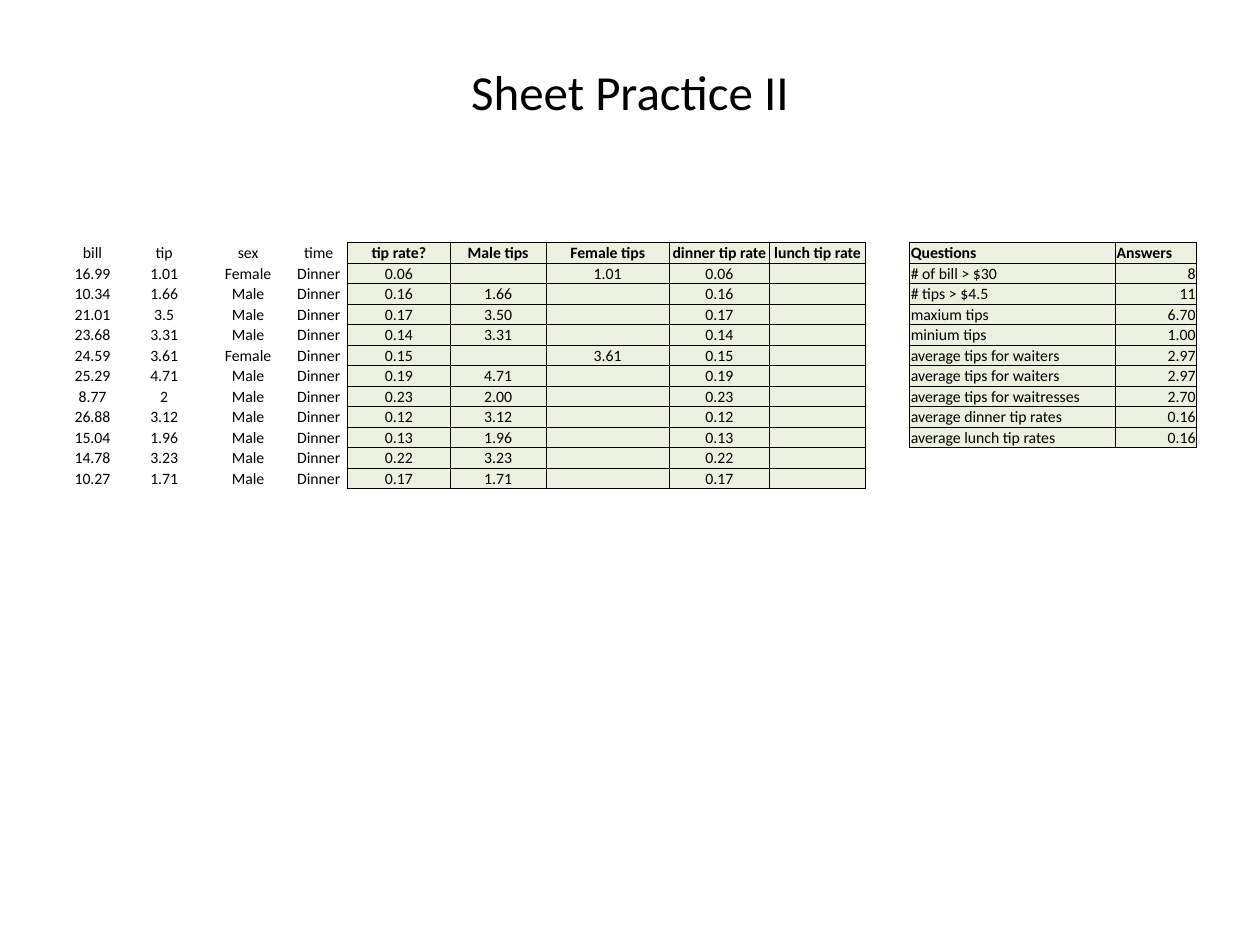
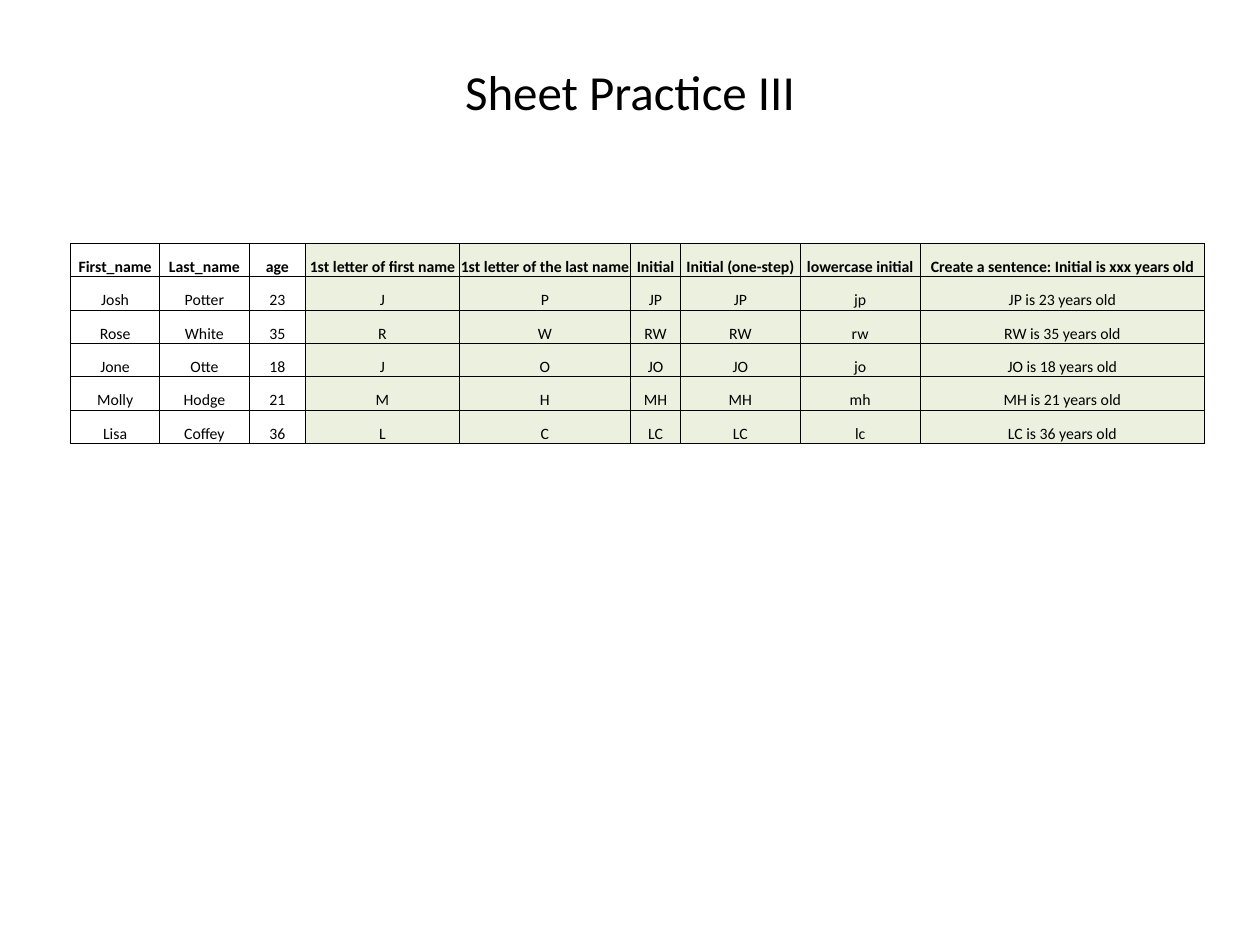
from lxml.etree import SubElement
from pptx import Presentation
from pptx.dml.color import RGBColor
from pptx.enum.text import MSO_ANCHOR as Anchor, PP_ALIGN as Align
from pptx.oxml.ns import qn
from pptx.util import Cm, Pt

FONT = "Calibri"
BLACK, GREEN = "000000", "EBF1DE"
TITLE_BOX = (1.27, 0.76, 22.86, 2.16)
CELL_SIZE = 9
LINE_WIDTH = Pt(0.5)
INSET = Cm(0.02)
# Cell side: (row step, column step) to the neighbour on that side
SIDES = {"L": (0, -1), "R": (0, 1), "T": (-1, 0), "B": (1, 0)}

BILLS = [
    ("16.99", "1.01", "Female"), ("10.34", "1.66", "Male"),
    ("21.01", "3.5", "Male"), ("23.68", "3.31", "Male"),
    ("24.59", "3.61", "Female"), ("25.29", "4.71", "Male"),
    ("8.77", "2", "Male"), ("26.88", "3.12", "Male"),
    ("15.04", "1.96", "Male"), ("14.78", "3.23", "Male"),
    ("10.27", "1.71", "Male"),
]
BILL_HEADER = ("bill", "tip", "sex", "time", "tip rate?", "Male tips",
               "Female tips", "dinner tip rate", "lunch tip rate")
ANSWERS = [
    ("Questions", "Answers"), ("# of bill > $30", "8"),
    ("# tips > $4.5", "11"), ("maxium tips", "6.70"),
    ("minium tips", "1.00"), ("average tips for waiters", "2.97"),
    ("average tips for waiters", "2.97"),
    ("average tips for waitresses", "2.70"),
    ("average dinner tip rates", "0.16"), ("average lunch tip rates", "0.16"),
]
BILL_WIDTHS = (1.19, 1.7, 1.68, 1.17, 2.06, 1.94, 2.48, 2.02, 1.94,
               0.89, 4.15, 1.63)

PEOPLE = [("Josh", "Potter", 23), ("Rose", "White", 35), ("Jone", "Otte", 18),
          ("Molly", "Hodge", 21), ("Lisa", "Coffey", 36)]
PEOPLE_HEADER = ("First_name", "Last_name", "age", "1st letter of first name",
                 "1st letter of the last name", "Initial",
                 "Initial (one-step)", "lowercase initial",
                 "Create a sentence: Initial is xxx years old")
PEOPLE_WIDTHS = (1.8, 1.8, 1.14, 3.1, 3.45, 1.01, 2.41, 2.42, 5.73)


def color(value):
    return RGBColor.from_string(value)


def write(para, text, size, bold=False):
    span = para.add_run()
    span.text = text
    span.font.name = FONT
    span.font.size = Pt(size)
    span.font.bold = bold
    span.font.color.rgb = color(BLACK)


def add_page(deck, title):
    page = deck.slides.add_slide(deck.slide_layouts[6])
    frame = page.shapes.add_textbox(*map(Cm, TITLE_BOX)).text_frame
    frame.word_wrap = True
    frame.vertical_anchor = Anchor.MIDDLE
    frame.paragraphs[0].alignment = Align.CENTER
    write(frame.paragraphs[0], title, 28)
    return page


def set_border(cell, side, visible):
    line = SubElement(cell._tc.get_or_add_tcPr(), qn(f"a:ln{side}"),
                      w=str(LINE_WIDTH))
    if visible:
        fill = SubElement(line, qn("a:solidFill"))
        SubElement(fill, qn("a:srgbClr"), val=BLACK)
    else:
        SubElement(line, qn("a:noFill"))


def fill_cell(cell, text, align, bold, shaded):
    cell.vertical_anchor = Anchor.BOTTOM
    cell.margin_left = cell.margin_right = cell.margin_top = INSET
    cell.margin_bottom = 0
    para = cell.text_frame.paragraphs[0]
    para.alignment = align
    if text:
        write(para, text, CELL_SIZE, bold)
    else:
        # Keeps an empty cell as low as its row
        SubElement(para._p, qn("a:endParaRPr"), sz=str(CELL_SIZE * 100))
    if shaded:
        cell.fill.solid()
        cell.fill.fore_color.rgb = color(GREEN)
    else:
        cell.fill.background()


def add_grid(page, box, widths, rows, is_boxed, is_shaded, align_of):
    """Draw a table; the three rules take a row and a column number."""
    frame = page.shapes.add_table(len(rows), len(widths), *map(Cm, box))
    table = frame.table
    table.first_row = table.horz_banding = False
    for column, width in zip(table.columns, widths):
        column.width = Cm(width)
    for r, row in enumerate(rows):
        for c, text in enumerate(row):
            cell = table.cell(r, c)
            for side, (down, right) in SIDES.items():
                visible = is_boxed(r, c) or is_boxed(r + down, c + right)
                set_border(cell, side, visible)
            fill_cell(cell, text, align_of(r, c),
                      r == 0 and is_boxed(r, c), is_shaded(r, c))


def bill_row(bill, tip, sex):
    rate = f"{float(tip) / float(bill):.2f}"
    tips = [f"{float(tip):.2f}" if sex == group else ""
            for group in ("Male", "Female")]
    return (bill, tip, sex, "Dinner", rate, *tips, rate, "")


def person_row(first, last, age):
    initial = first[0] + last[0]
    return (first, last, str(age), first[0], last[0], initial, initial,
            initial.lower(), f"{initial} is {age} years old")


def add_tips_page(deck):
    page = add_page(deck, "Sheet Practice II")
    bills = [BILL_HEADER] + [bill_row(*bill) for bill in BILLS]
    answers = ANSWERS + [("", "")] * (len(bills) - len(ANSWERS))
    rows = [(*bill, "", *answer) for bill, answer in zip(bills, answers)]

    def is_worked_out(r, c):
        in_answers = 10 <= c <= 11 and r < len(ANSWERS)
        return 0 <= r < len(rows) and (4 <= c <= 8 or in_answers)

    def align_of(r, c):
        if c < 10:
            return Align.CENTER
        return Align.RIGHT if c == 11 and r > 0 else Align.LEFT

    add_grid(page, (1.27, 4.89, 22.86, 4.96), BILL_WIDTHS, rows,
             is_worked_out, is_worked_out, align_of)


def add_names_page(deck):
    page = add_page(deck, "Sheet Practice III")
    rows = [PEOPLE_HEADER] + [person_row(*person) for person in PEOPLE]
    add_grid(page, (1.42, 4.91, 22.86, 4.03), PEOPLE_WIDTHS, rows,
             is_boxed=lambda r, c: True,
             is_shaded=lambda r, c: c >= 3,
             align_of=lambda r, c: Align.CENTER)


def main():
    deck = Presentation()
    deck.slide_width, deck.slide_height = Cm(25.4), Cm(19.05)
    add_tips_page(deck)
    add_names_page(deck)
    deck.save("out.pptx")


if __name__ == "__main__":
    main()
